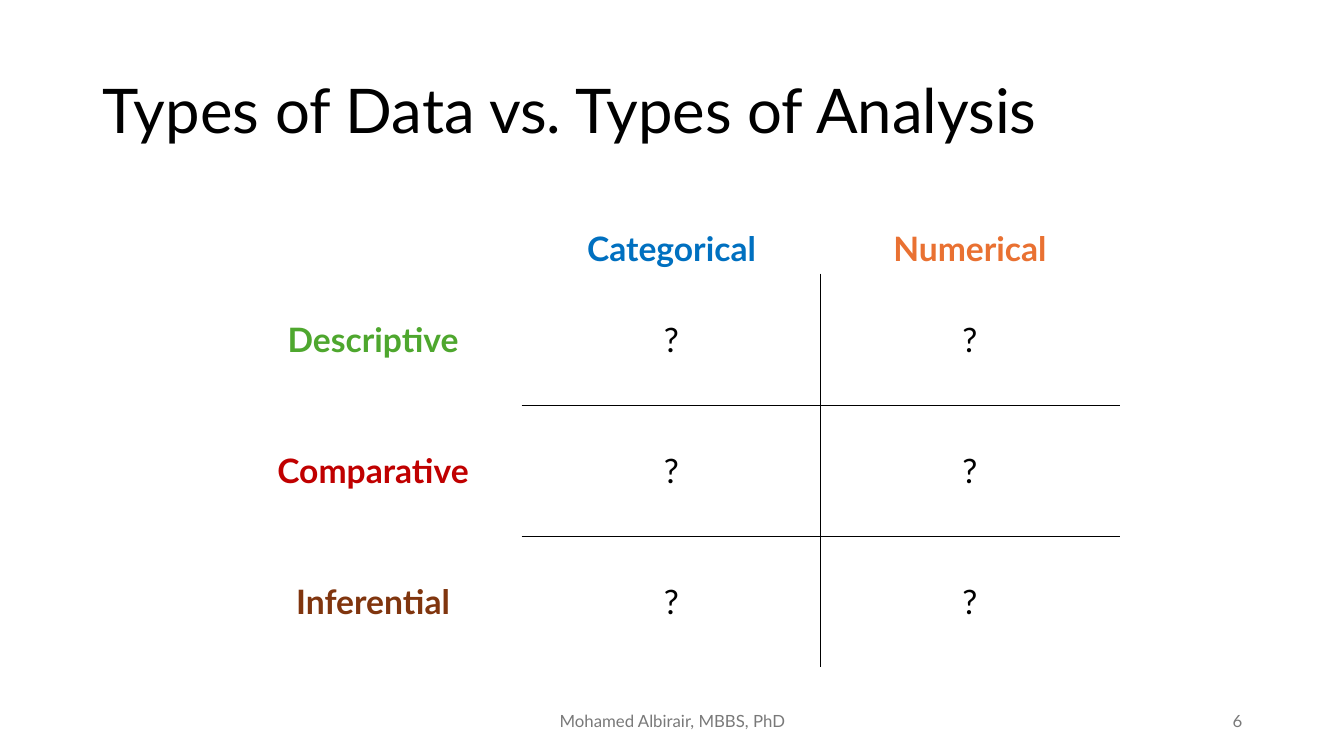
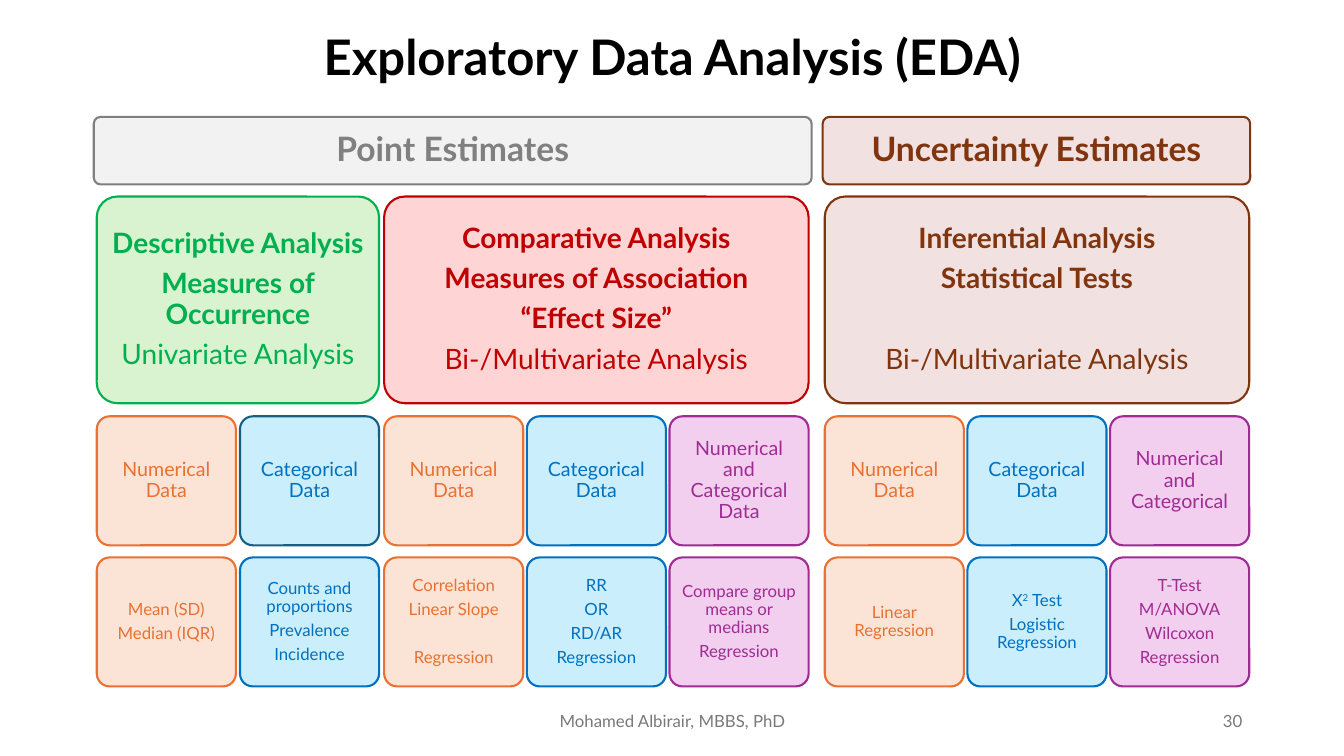
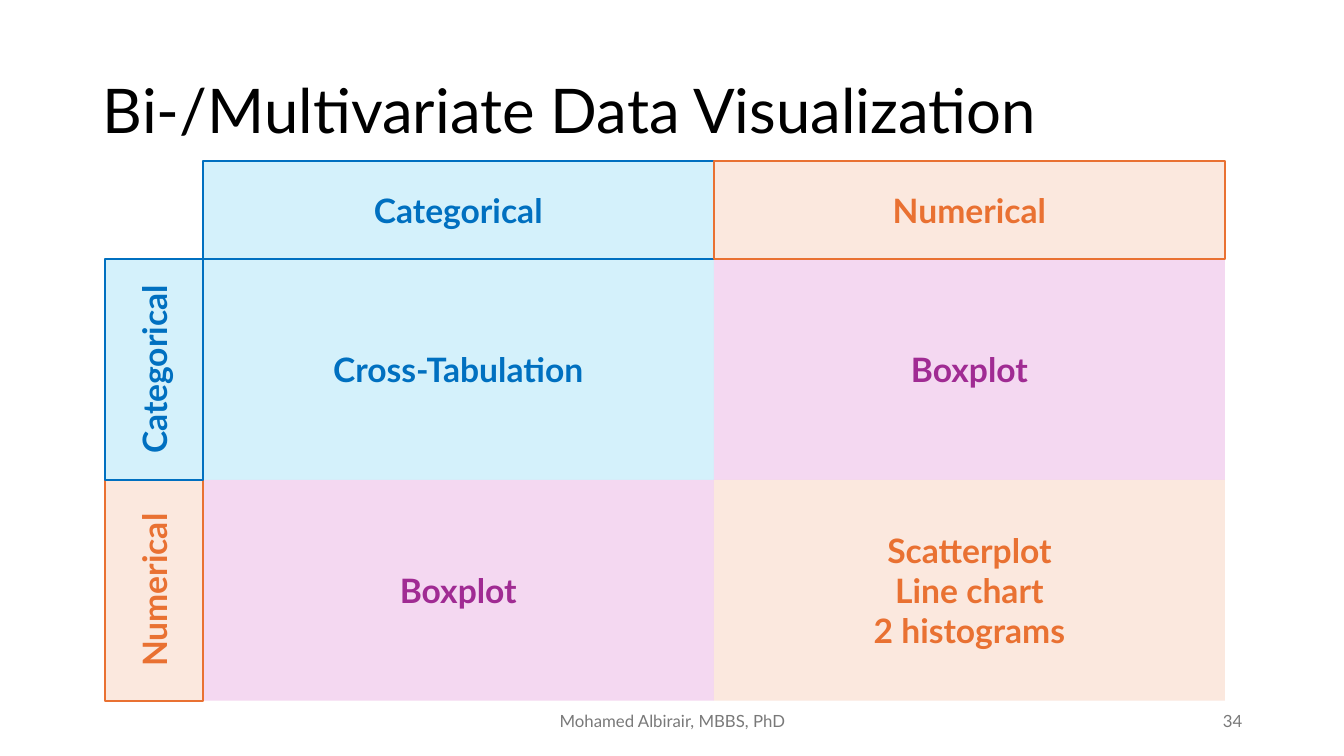
from dataclasses import dataclass
from typing import NamedTuple

from lxml import etree
from pptx import Presentation
from pptx.dml.color import RGBColor
from pptx.enum.shapes import MSO_SHAPE
from pptx.enum.text import MSO_ANCHOR, MSO_AUTO_SIZE, PP_ALIGN
from pptx.oxml.ns import qn
from pptx.util import Inches, Pt

LEFT, MID, RIGHT = PP_ALIGN.LEFT, PP_ALIGN.CENTER, PP_ALIGN.RIGHT
CENTRE = MSO_ANCHOR.MIDDLE
FIXED = MSO_AUTO_SIZE.NONE
RECT, ROUND = MSO_SHAPE.RECTANGLE, MSO_SHAPE.ROUNDED_RECTANGLE


class Hue(NamedTuple):
    ink: str
    fill: str
    line: str


class Box(NamedTuple):
    x: float
    y: float
    w: float
    h: float


@dataclass(frozen=True)
class Theme:
    font: str = "Lato"
    black: str = "000000"
    foot: str = "797979"
    leaf: str = "4EA72E"
    grey: Hue = Hue("808080", "F2F2F2", "808080")
    green: Hue = Hue("00B050", "D9F2D0", "00B050")
    red: Hue = Hue("C00000", "FED4D4", "C00000")
    brown: Hue = Hue("80350E", "F1E1E1", "80350E")
    orange: Hue = Hue("E97132", "FBE3D6", "E97132")
    blue: Hue = Hue("0070C0", "CAEEFB", "0070C0")
    teal: Hue = Hue("0070C0", "CAEEFB", "156082")
    plum: Hue = Hue("A02B93", "F2CFEE", "A02B93")
    title: int = 44
    banner: int = 35
    head: int = 24
    sub: int = 20
    label: int = 14
    small: int = 12
    rule: float = 1.5


@dataclass(frozen=True)
class Line:
    """One paragraph; parts between ^ marks are superscript."""
    text: str
    bold: bool = False
    gap: bool = False


@dataclass(frozen=True)
class Leaf:
    hue: Hue
    label: str
    items: tuple


@dataclass(frozen=True)
class Group:
    x: float
    w: float
    hue: Hue
    lines: tuple
    leaves: tuple


T = Theme()
TITLE = Box(0.92, 0.4, 11.5, 1.45)


# Shared drawing
def place(box: Box) -> tuple:
    return tuple(Inches(v) for v in box)


def write(frame, lines, size: int, ink: str, align=MID,
          lead: float = 1, after: float = 0) -> None:
    frame.word_wrap = True
    frame.auto_size = FIXED
    frame.vertical_anchor = CENTRE
    for i, line in enumerate(lines):
        para = frame.paragraphs[0] if i == 0 else frame.add_paragraph()
        para.alignment = align
        para.line_spacing = lead
        para.space_after = Pt(size * after)
        # A gap is as tall as one line with its spacing
        para.space_before = Pt(size * (1.2 * lead + after) if line.gap else 0)
        for j, part in enumerate(line.text.split("^")):
            run = para.add_run()
            run.text = part
            font = run.font
            font.name, font.size, font.bold = T.font, Pt(size), line.bold
            font.color.rgb = RGBColor.from_string(ink)
            if j % 2:
                run._r.get_or_add_rPr().set("baseline", "30000")


def panel(slide, kind, box: Box, hue: Hue, edge: bool = True):
    shape = slide.shapes.add_shape(kind, *place(box))
    shape.shadow.inherit = False
    shape.fill.solid()
    shape.fill.fore_color.rgb = RGBColor.from_string(hue.fill)
    if edge:
        shape.line.color.rgb = RGBColor.from_string(hue.line)
        shape.line.width = Pt(T.rule)
    else:
        shape.line.fill.background()
    return shape


def note(slide, box: Box, text: str, align) -> None:
    frame = slide.shapes.add_textbox(*place(box)).text_frame
    write(frame, [Line(text)], T.small, T.foot, align)


def start(prs, title: str, page: int, box: Box = TITLE,
          size: int = T.title, align=LEFT, bold: bool = False):
    slide = prs.slides.add_slide(prs.slide_layouts[5])
    head = slide.shapes.title
    head.left, head.top, head.width, head.height = place(box)
    write(head.text_frame, [Line(title, bold)], size, T.black, align, 0.9)
    note(slide, Box(4.42, 6.95, 4.5, 0.4), "Mohamed Albirair, MBBS, PhD", MID)
    note(slide, Box(9.42, 6.95, 3, 0.4), str(page), RIGHT)
    return slide


# Slide 1: question table
def border(cell, sides) -> None:
    props = cell._tc.get_or_add_tcPr()
    for i, side in enumerate(sides):
        rule = etree.Element(qn(f"a:ln{side}"), w=str(Pt(1)))
        fill = etree.SubElement(rule, qn("a:solidFill"))
        etree.SubElement(fill, qn("a:srgbClr"), val=T.black)
        props.insert(i, rule)


def types(prs) -> None:
    slide = start(prs, "Types of Data vs. Types of Analysis", 6)
    cols = [("Categorical", T.blue.ink), ("Numerical", T.orange.ink)]
    rows = [("Descriptive", T.leaf), ("Comparative", T.red.ink),
            ("Inferential", T.brown.ink)]
    ask = ("?", T.black)
    grid = [[None, *cols]] + [[row, ask, ask] for row in rows]
    box = Box(2.22, 2.22, 8.88, 4.4)
    table = slide.shapes.add_table(4, 3, *place(box)).table
    table.first_row = table.horz_banding = False
    for col in table.columns:
        col.width = Inches(box.w / 3)
    for r, row in enumerate(grid):
        table.rows[r].height = Inches(1.3 if r else 0.5)
        for c, entry in enumerate(row):
            cell = table.cell(r, c)
            cell.fill.background()
            cell.vertical_anchor = CENTRE
            if entry:
                text, ink = entry
                para = cell.text_frame.paragraphs[0]
                para.alignment = MID
                run = para.add_run()
                run.text = text
                font = run.font
                font.name, font.size = T.font, Pt(T.head)
                font.bold = entry != ask
                font.color.rgb = RGBColor.from_string(ink)
            if r and c:
                sides = ["R" if c == 1 else "L"]
                sides += ["T"] if r > 1 else []
                sides += ["B"] if r < 3 else []
                border(cell, sides)


# Slide 2: tree of analyses
def card(slide, box: Box, hue: Hue, lines, size: int, pad: float) -> None:
    shape = panel(slide, ROUND, box, hue)
    shape.adjustments[0] = 0.1
    frame = shape.text_frame
    frame.margin_left = frame.margin_right = Inches(pad)
    frame.margin_top = frame.margin_bottom = Inches(pad)
    write(frame, lines, size, hue.ink, MID, 0.9, 0.35)


def plain(*texts: str) -> tuple:
    return tuple(Line(text) for text in texts)


def strong(*texts: str) -> tuple:
    return tuple(Line(text, True) for text in texts)


NUM, CAT = "Numerical Data", "Categorical Data"
MULTI = "Bi-/Multivariate Analysis"
GROUPS = [
    Group(0.96, 2.8, T.green,
          strong("Descriptive Analysis", "Measures of Occurrence")
          + plain("Univariate Analysis"),
          (Leaf(T.orange, NUM, plain("Mean (SD)", "Median (IQR)")),
           Leaf(T.blue, CAT, plain("Counts and proportions", "Prevalence",
                                   "Incidence")))),
    Group(3.81, 4.21, T.red,
          strong("Comparative Analysis", "Measures of Association",
                 "“Effect Size”") + plain(MULTI),
          (Leaf(T.orange, NUM, plain("Correlation", "Linear Slope")
                + (Line("Regression", gap=True),)),
           Leaf(T.blue, CAT, plain("RR", "OR", "RD/AR", "Regression")),
           Leaf(T.plum, "Numerical and Categorical Data",
                plain("Compare group means or medians", "Regression")))),
    Group(8.18, 4.21, T.brown,
          strong("Inferential Analysis", "Statistical Tests")
          + (Line(MULTI, gap=True),),
          (Leaf(T.orange, NUM, plain("Linear Regression")),
           Leaf(T.blue, CAT, plain("X^2^ Test", "Logistic Regression")),
           Leaf(T.plum, "Numerical and Categorical",
                plain("T-Test", "M/ANOVA", "Wilcoxon", "Regression")))),
]


def tree(prs) -> None:
    slide = start(prs, "Exploratory Data Analysis (EDA)", 30,
                  Box(0.92, 0.15, 11.5, 0.88), T.banner, MID, True)
    bands = [("Point Estimates", 0.93, 7.12, T.grey),
             ("Uncertainty Estimates", 8.16, 4.24, T.brown)]
    for text, x, w, hue in bands:
        card(slide, Box(x, 1.16, w, 0.67), hue, strong(text), T.head, 0.1)
    wide, high = 1.38, 1.28
    for group in GROUPS:
        card(slide, Box(group.x, 1.95, group.w, 2.05), group.hue,
             group.lines, T.sub, 0.08)
        step = (group.w - wide) / (len(group.leaves) - 1)
        for i, leaf in enumerate(group.leaves):
            x = group.x + i * step
            # The first categorical label has a darker edge
            dark = group is GROUPS[0] and leaf.hue == T.blue
            card(slide, Box(x, 4.13, wide, high), T.teal if dark else leaf.hue,
                 plain(leaf.label), T.label, 0.06)
            card(slide, Box(x, 5.53, wide, high), leaf.hue,
                 leaf.items, T.small, 0.05)


# Slide 3: chart matrix
def tile(slide, box: Box, hue: Hue, lines, edge: bool, turn: int = 0) -> None:
    shape = panel(slide, RECT, box, hue, edge)
    shape.rotation = turn
    tone = shape.fill._xPr.find(qn("a:solidFill"))[0]
    etree.SubElement(tone, qn("a:alpha"), val="80000")
    write(shape.text_frame, lines, T.head, hue.ink)


def matrix(prs) -> None:
    slide = start(prs, "Bi-/Multivariate Data Visualization", 34)
    x, y, wide, high, thick = 2.01, 2.57, 5.07, 2.19, 0.97
    cells = [[(T.blue, ["Cross-Tabulation"]), (T.plum, ["Boxplot"])],
             [(T.plum, ["Boxplot"]),
              (T.orange, ["Scatterplot", "Line chart", "2 histograms"])]]
    for r, row in enumerate(cells):
        for c, (hue, texts) in enumerate(row):
            box = Box(x + c * wide, y + r * high, wide, high)
            tile(slide, box, hue, strong(*texts), False)
    heads = [(T.blue, "Categorical"), (T.orange, "Numerical")]
    for i, (hue, text) in enumerate(heads):
        box = Box(x + i * wide, y - thick, wide, thick)
        tile(slide, box, hue, strong(text), True)
    # Row heads turn about their centres; the upper one lies on top
    for i, (hue, text) in reversed(list(enumerate(heads))):
        box = Box(x - (thick + high) / 2, y + i * high + (high - thick) / 2,
                  high, thick)
        tile(slide, box, hue, strong(text), True, 270)


def main() -> None:
    prs = Presentation()
    prs.slide_width, prs.slide_height = Inches(13.33), Inches(7.5)
    for draw in (types, tree, matrix):
        draw(prs)
    prs.save("out.pptx")


if __name__ == "__main__":
    main()
